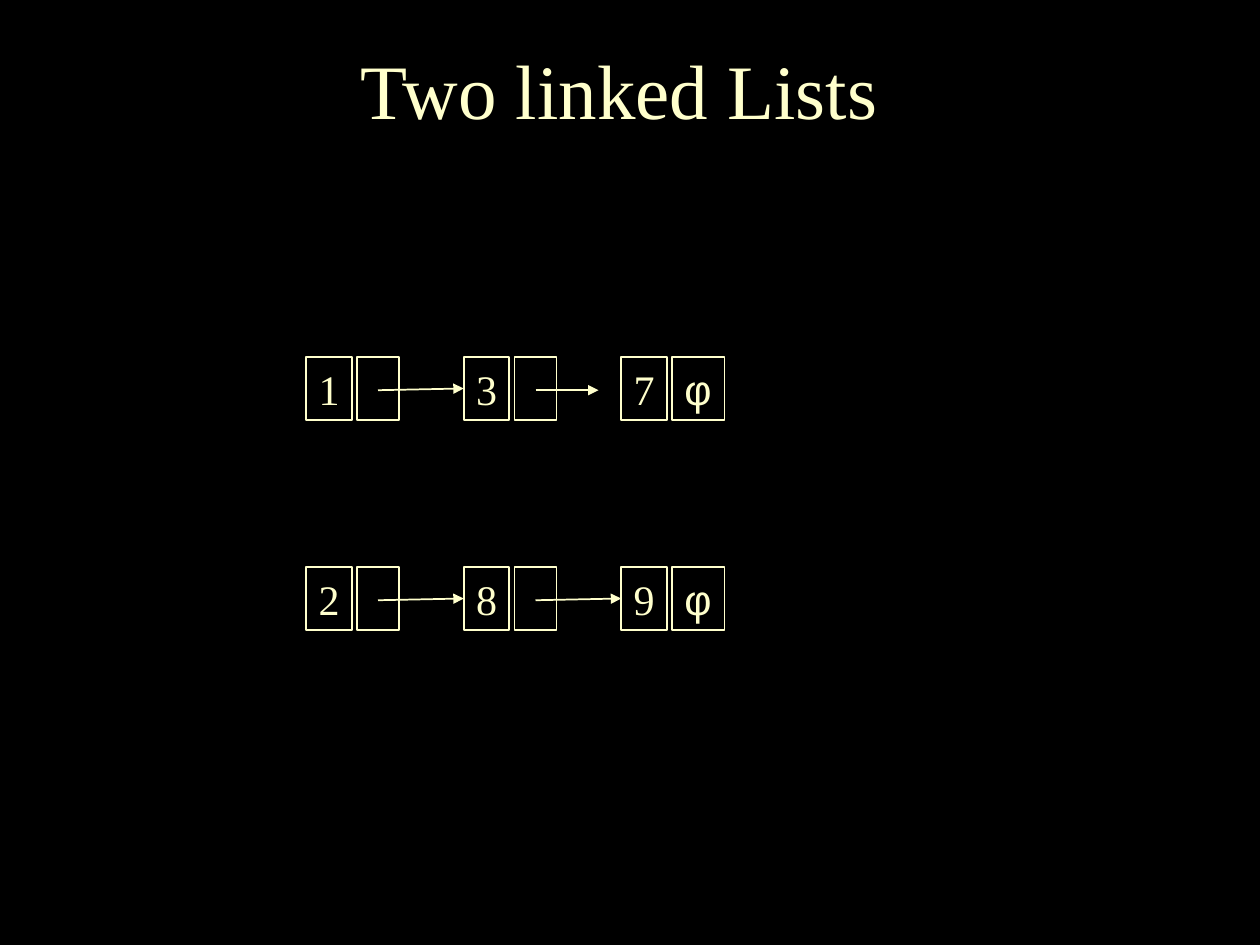
from pptx import Presentation
from pptx.dml.color import RGBColor
from pptx.enum.shapes import MSO_CONNECTOR as CONN, MSO_SHAPE as SHAPE
from pptx.enum.text import MSO_ANCHOR as ANCHOR, PP_ALIGN as ALIGN
from pptx.oxml.ns import qn
from pptx.util import Pt
from lxml.etree import SubElement

COLORS = {"back": "000000", "ink": "FFFFCC"}
LEFT, STEP, HEIGHT = 175, 90, 36
VALUE_W, LINK_W, NULL_W = 26, 24, 30
LINK_DX, ARROW_DX, ARROW_DY = 29, 41, 19


def rgb(name):
    return RGBColor.from_string(COLORS[name])


def write(tf, text, font="Times New Roman", size=24, align=ALIGN.LEFT,
          anchor=ANCHOR.TOP, wrap=True):
    tf.word_wrap = wrap
    tf.vertical_anchor = anchor
    p = tf.paragraphs[0]
    p.alignment = align
    r = p.add_run()
    r.text = text
    r.font.name = font
    r.font.size = Pt(size)
    r.font.color.rgb = rgb("ink")


class ListSlide:
    def __init__(self, prs):
        self.s = prs.slides.add_slide(prs.slide_layouts[6])
        self.s.background.fill.solid()
        self.s.background.fill.fore_color.rgb = rgb("back")

    def outline(self, sp):
        sp.line.color.rgb = rgb("ink")
        sp.line.width = Pt(1)

    def title(self, text, x, y, w, h):
        sp = self.s.shapes.add_textbox(Pt(x), Pt(y), Pt(w), Pt(h))
        write(sp.text_frame, text, size=44, align=ALIGN.CENTER,
              anchor=ANCHOR.MIDDLE)

    def box(self, x, y, w, text=None, **fmt):
        sp = self.s.shapes.add_shape(SHAPE.RECTANGLE, Pt(x), Pt(y), Pt(w),
                                     Pt(HEIGHT))
        sp.shadow.inherit = False
        sp.fill.background()
        self.outline(sp)
        if text:
            write(sp.text_frame, text, **fmt)
        return sp

    def arrow(self, x1, y1, x2, y2, target=None):
        sp = self.s.shapes.add_connector(CONN.STRAIGHT, Pt(x1), Pt(y1),
                                         Pt(x2), Pt(y2))
        self.outline(sp)
        if target is not None:
            sp.end_connect(target, 1)
        SubElement(sp.line._get_or_add_ln(), qn("a:tailEnd"), type="triangle")
        SubElement(sp._element.spPr, qn("a:effectLst"))

    def linked_list(self, y, values, loose=()):
        xs = [LEFT + i * STEP for i in range(len(values))]
        nodes = [self.box(x, y, VALUE_W, value, wrap=False)
                 for x, value in zip(xs, values)]
        for i, x in enumerate(xs[:-1]):
            self.box(x + LINK_DX, y, LINK_W)
            start, mid = x + ARROW_DX, y + ARROW_DY
            if i in loose:
                self.arrow(start, mid, start + 36, mid)
            else:
                self.arrow(start, mid, xs[i + 1], y + HEIGHT / 2, nodes[i + 1])
        self.box(xs[-1] + LINK_DX, y, NULL_W, "φ", font="Arial")


def main():
    prs = Presentation()
    prs.slide_width, prs.slide_height = Pt(720), Pt(540)
    slide = ListSlide(prs)
    slide.title("Two linked Lists", 4, 23, 700, 56)
    slide.linked_list(204, "137", loose=(1,))
    slide.linked_list(324, "289")
    prs.save("out.pptx")


if __name__ == "__main__":
    main()
